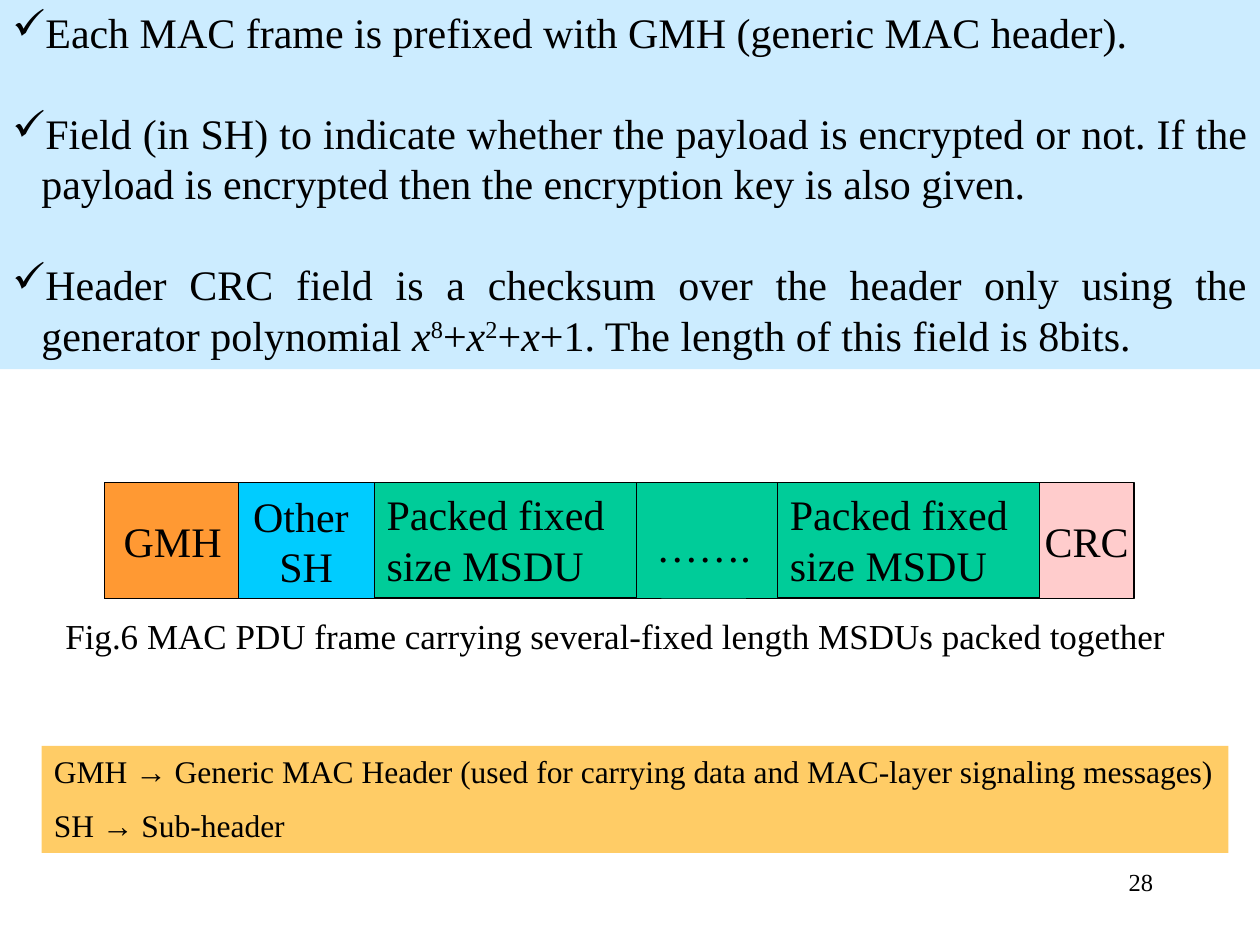
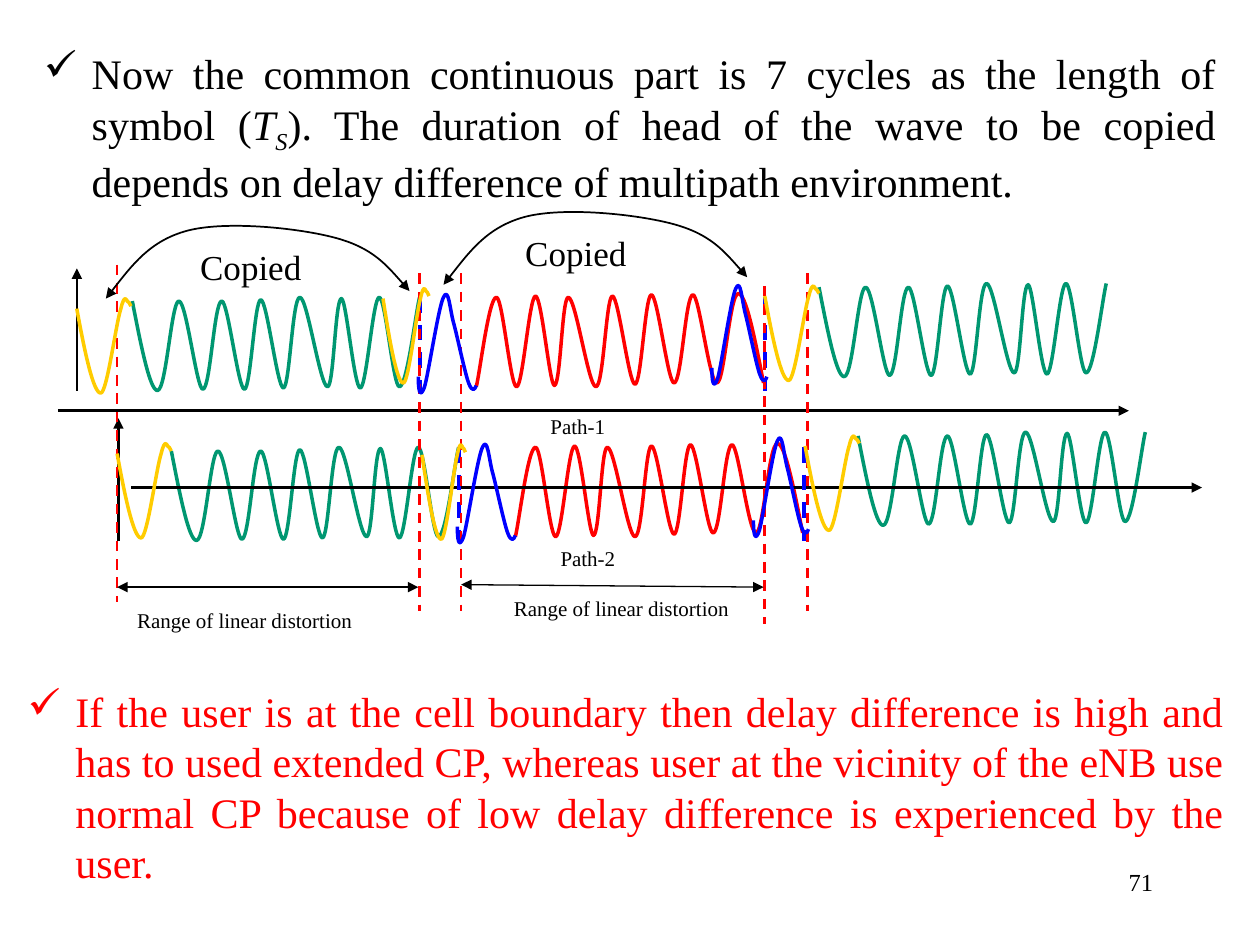
from dataclasses import dataclass
from typing import Optional, Sequence, Union

from lxml import etree
from pptx import Presentation
from pptx import util as u
from pptx.dml.color import RGBColor
from pptx.enum import dml, shapes, text
from pptx.oxml.ns import qn

FONT = "Times New Roman"
BLACK, RED, BLUE = "000000", "FF0000", "0000FF"
GREEN, YELLOW = "009771", "FFCC00"
PACKED_GREEN = "00CC99"
LEFT, CENTER = text.PP_ALIGN.LEFT, text.PP_ALIGN.CENTER
RIGHT, JUSTIFY = text.PP_ALIGN.RIGHT, text.PP_ALIGN.JUSTIFY

Point = tuple[float, float]
Box = tuple[float, float, float, float]


@dataclass(frozen=True)
class Span:
    text: str
    italic: bool = False
    baseline: int = 0  # percent of the font size


Para = Sequence[Union[str, Span]]


@dataclass(frozen=True)
class Field:
    """One field of the MAC frame; lines of its label are separate paragraphs."""
    label: tuple[str, ...]
    left: float
    width: float
    fill: Optional[str] = None
    top: float = 3.83
    height: float = 0.92
    line: Optional[str] = BLACK


@dataclass(frozen=True)
class Curve:
    shape: Sequence[Point]
    left: float
    top: float
    color: str
    stretch: float = 1.0
    turned: bool = False


@dataclass(frozen=True)
class Line:
    start: Point
    end: Point
    color: str = BLACK
    width: float = 1.5
    dashed: bool = False
    head: bool = False
    tail: bool = False


# Bezier points relative to the start of each curve: start, then three per arc.
TRAIN = [
    (0, 0), (.07, .36), (.14, .71), (.2, .71), (.27, .71), (.31, 0), (.37, 0),
    (.43, 0), (.51, .7), (.56, .7), (.62, .7), (.65, 0), (.71, 0),
    (.76, 0), (.84, .7), (.89, .7), (.94, .7), (.97, -.01), (1.02, -.01),
    (1.07, -.01), (1.15, .69), (1.2, .69), (1.25, .68), (1.27, -.03), (1.33, -.03),
    (1.39, -.03), (1.49, .68), (1.55, .68), (1.6, .68), (1.61, -.02), (1.66, -.02),
    (1.7, -.01), (1.76, .69), (1.81, .69), (1.86, .68), (1.91, -.03), (1.96, -.03),
    (2.01, -.03), (2.07, .68), (2.12, .68), (2.18, .68), (2.25, .09), (2.28, -.03)]
YELLOW_CYCLE = [
    (0, 0), (.06, .33), (.13, .67), (.19, .67), (.24, .67), (.31, .12), (.35, 0),
    (.38, -.13), (.4, -.06), (.4, -.06), (.41, -.06), (.42, -.04), (.43, -.02)]
BLUE_CYCLE = [
    (0, 0), (0, .09), (.01, .19), (.05, .08), (.08, -.02), (.16, -.55), (.2, -.63),
    (.24, -.72), (.25, -.54), (.28, -.43), (.31, -.32), (.37, -.03), (.4, .05),
    (.43, .13), (.45, .1), (.46, .07)]
COPY_ARC = [
    (0, 0), (-.15, -.17), (-.29, -.34), (-.58, -.42), (-.87, -.5), (-1.45, -.56),
    (-1.76, -.48), (-2.06, -.4), (-2.23, -.17), (-2.41, .06)]


def rgb(color: str) -> RGBColor:
    return RGBColor.from_string(color)


def inches(values: Sequence[float]) -> list[u.Length]:
    return [u.Inches(value) for value in values]


def add_bullet(para, indent: float) -> None:
    props = para._p.get_or_add_pPr()
    props.set("marL", str(u.Inches(indent)))
    props.set("indent", str(-u.Inches(indent)))
    etree.SubElement(props, qn("a:buChar")).set("char", "✓")


def add_text(page, paras: Sequence[Para], box: Box, *, size: float = 24,
             color: str = BLACK, fill: Optional[str] = None,
             line: Optional[str] = None, align=LEFT, middle: bool = False,
             wrap: bool = True, gap: float = 0, indent: float = 0):
    """Write paragraphs in a rectangle; an indent gives them check-mark bullets."""
    if fill or line:
        shape = page.shapes.add_shape(shapes.MSO_SHAPE.RECTANGLE, *inches(box))
        shape.shadow.inherit = False
    else:
        shape = page.shapes.add_textbox(*inches(box))
    if fill:
        shape.fill.solid()
        shape.fill.fore_color.rgb = rgb(fill)
    else:
        shape.fill.background()
    if line:
        shape.line.color.rgb = rgb(line)
        shape.line.width = u.Pt(0.75)
    else:
        shape.line.fill.background()
    frame = shape.text_frame
    frame.word_wrap = wrap
    frame.vertical_anchor = text.MSO_ANCHOR.MIDDLE if middle else text.MSO_ANCHOR.TOP
    for index, content in enumerate(paras):
        para = frame.add_paragraph() if index else frame.paragraphs[0]
        para.alignment = align
        if index and gap:
            para.space_before = u.Pt(gap)
        if indent:
            add_bullet(para, indent)
        for part in content:
            span = part if isinstance(part, Span) else Span(part)
            run = para.add_run()
            run.text = span.text
            run.font.name, run.font.size = FONT, u.Pt(size)
            run.font.color.rgb = rgb(color)
            run.font.italic = span.italic
            if span.baseline:
                run._r.get_or_add_rPr().set("baseline", str(span.baseline * 1000))
    return shape


def style_line(shape, color: str, width: float, dashed: bool = False,
               head: bool = False, tail: bool = False) -> None:
    shape.line.color.rgb = rgb(color)
    shape.line.width = u.Pt(width)
    if dashed:
        shape.line.dash_style = dml.MSO_LINE.DASH
    outline = shape.line._get_or_add_ln()
    for wanted, tag in ((head, "a:headEnd"), (tail, "a:tailEnd")):
        if wanted:
            etree.SubElement(outline, qn(tag)).set("type", "triangle")


def draw_line(page, line: Line) -> None:
    connector = page.shapes.add_connector(
        shapes.MSO_CONNECTOR.STRAIGHT, *inches(line.start + line.end))
    style_line(connector, line.color, line.width, line.dashed, line.head, line.tail)
    etree.SubElement(connector._element.spPr, qn("a:effectLst"))


def draw_curve(page, curve: Curve, width: float = 2, arrows: bool = False) -> None:
    sign = -1 if curve.turned else 1
    points = [inches((curve.left + sign * curve.stretch * x, curve.top + sign * y))
              for x, y in curve.shape]
    builder = page.shapes.build_freeform(*points[0])
    builder.add_line_segments(points[1:], close=False)
    shape = builder.convert_to_shape()
    shape.shadow.inherit = False
    shape.fill.background()
    style_line(shape, curve.color, width, head=arrows, tail=arrows)
    # Turn every three straight segments into one Bezier arc.
    outline = next(shape._element.iter(qn("a:path")))
    segments = outline.findall(qn("a:lnTo"))
    for first in range(0, len(segments), 3):
        arc = etree.SubElement(outline, qn("a:cubicBezTo"))
        for segment in segments[first:first + 3]:
            arc.append(segment[0])
            outline.remove(segment)


def add_page(deck, number: int):
    page = deck.slides.add_slide(deck.slide_layouts[6])
    add_text(page, [[str(number)]], (7.17, 6.83, 2.08, 0.5), size=14, align=RIGHT)
    return page


def build_frame_page(deck) -> None:
    page = add_page(deck, 28)
    add_text(page, [], (0.83, 3.83, 8, 0.92), fill=PACKED_GREEN, line=BLACK)
    for left in (6.17, 2.97):
        add_text(page, [["Packed fixed size MSDU"]], (left, 3.83, 2.08, 0.91), line=BLACK)
    for field in (
            Field(("GMH",), 0.83, 1.08, "FF9933"),
            Field(("Other ", "SH"), 1.89, 1.08, "00CCFF"),
            Field(("CRC",), 8.25, 0.75, "FFCCCC"),
            Field(("…….",), 5.25, 0.67, PACKED_GREEN, 3.92, 0.83, None)):
        add_text(page, [[label] for label in field.label],
                 (field.left, field.top, field.width, field.height),
                 fill=field.fill, line=field.line, align=CENTER, middle=True, wrap=False)
    add_text(page, [["Fig.6 MAC PDU frame carrying several-fixed length MSDUs packed together"]],
             (0.42, 4.83, 9.17, 0.43), size=20)
    add_text(page, [
        ["GMH → Generic MAC Header (used for carrying data and MAC-layer signaling messages)"],
        ["SH → Sub-header"]], (0.33, 5.92, 9.42, 0.85), size=18, fill="FFCC66", gap=9)
    x = Span("x", italic=True)
    add_text(page, [
        ["Each MAC frame is prefixed with GMH (generic MAC header)."],
        ["Field (in SH) to indicate whether the payload is encrypted or not. If the payload "
         "is encrypted then the encryption key is also given."],
        ["Header CRC field is a checksum over the header only using the generator polynomial ",
         x, Span("8", baseline=30), "+", x, Span("2", baseline=30), "+", x,
         "+1. The length of this field is 8bits."]],
        (0, 0, 10, 2.93), fill="CCECFF", align=JUSTIFY, gap=29, indent=0.23)


def build_multipath_page(deck) -> None:
    page = add_page(deck, 71)
    add_text(page, [[
        "Now the common continuous part is 7 cycles as the length of symbol (",
        Span("T", italic=True), Span("S", italic=True, baseline=-25),
        "). The duration of head of the wave to be copied depends on delay difference "
        "of multipath environment."]],
        (0.25, 0.33, 9.5, 1.31), align=JUSTIFY, indent=0.38)

    for curve in (
            Curve(TRAIN, 6.06, 3.04, RED, turned=True), Curve(TRAIN, 1.05, 2.39, GREEN),
            Curve(TRAIN, 6.5, 2.28, GREEN),
            Curve(TRAIN, 6.37, 4.23, RED, turned=True), Curve(TRAIN, 1.36, 3.58, GREEN),
            Curve(TRAIN, 6.81, 3.46, GREEN)):
        draw_curve(page, curve)

    axes = [Line(start, end, tail=True) for start, end in (
        ((0.61, 3.1), (0.61, 2.13)), ((0.46, 3.26), (8.96, 3.26)),
        ((0.94, 4.29), (0.94, 3.32)), ((1.04, 3.87), (9.54, 3.87)))]
    symbol_edges = [Line((x, y), (x, y + 0.74), BLUE, 2.25, dashed=True)
                    for x, y in ((3.33, 2.36), (6.07, 2.36), (3.64, 3.55), (6.38, 3.55))]
    limits = [Line((x, y), (x, y + 2.68), RED, dashed=True) for x, y in (
        (0.93, 2.1), (3.33, 2.17), (3.66, 2.17), (6.07, 2.27), (6.41, 2.17))]
    ranges = [Line(start, end, width=0.75, head=True, tail=True) for start, end in (
        ((0.93, 4.66), (3.32, 4.66)), ((3.66, 4.64), (6.06, 4.66)))]
    for line in axes + symbol_edges + limits + ranges:
        draw_line(page, line)

    for curve in (
            Curve(YELLOW_CYCLE, 0.61, 2.45, YELLOW), Curve(BLUE_CYCLE, 3.32, 2.99, BLUE),
            Curve(YELLOW_CYCLE, 6.07, 2.35, YELLOW),
            Curve(YELLOW_CYCLE, 0.93, 3.6, YELLOW), Curve(BLUE_CYCLE, 3.63, 4.18, BLUE),
            Curve(YELLOW_CYCLE, 6.39, 3.54, YELLOW),
            Curve(YELLOW_CYCLE, 3.04, 2.37, YELLOW, 0.85),
            Curve(YELLOW_CYCLE, 3.35, 3.61, YELLOW, 0.8),
            Curve(BLUE_CYCLE, 5.65, 2.92, BLUE, 0.95),
            Curve(BLUE_CYCLE, 5.98, 4.13, BLUE, 0.95)):
        draw_curve(page, curve)
    for left, top in ((3.25, 2.31), (5.93, 2.2)):
        draw_curve(page, Curve(COPY_ARC, left, top, BLACK), width=1, arrows=True)

    for label, box, size in (
            ("Range of linear distortion", (0.99, 4.77, 1.97, 0.59), 12),
            ("Range of linear distortion", (3.98, 4.68, 1.97, 0.59), 12),
            ("Path-1", (4.27, 3.23, 0.88, 0.3), 12),
            ("Path-2", (4.35, 4.28, 0.88, 0.35), 12),
            ("Copied", (1.49, 1.9, 1.36, 0.44), 20),
            ("Copied", (4.07, 1.79, 1.36, 0.44), 20)):
        add_text(page, [[label]], box, size=size)
    add_text(page, [[
        "If the user is at the cell boundary then delay difference is high and has to used "
        "extended CP, whereas user at the vicinity of the eNB use normal CP because of low "
        "delay difference is experienced by the user."]],
        (0.12, 5.39, 9.69, 1.72), color=RED, align=JUSTIFY, indent=0.38)


def main() -> None:
    deck = Presentation()
    deck.slide_width, deck.slide_height = u.Inches(10), u.Inches(7.5)
    build_frame_page(deck)
    build_multipath_page(deck)
    deck.save("out.pptx")


if __name__ == "__main__":
    main()
